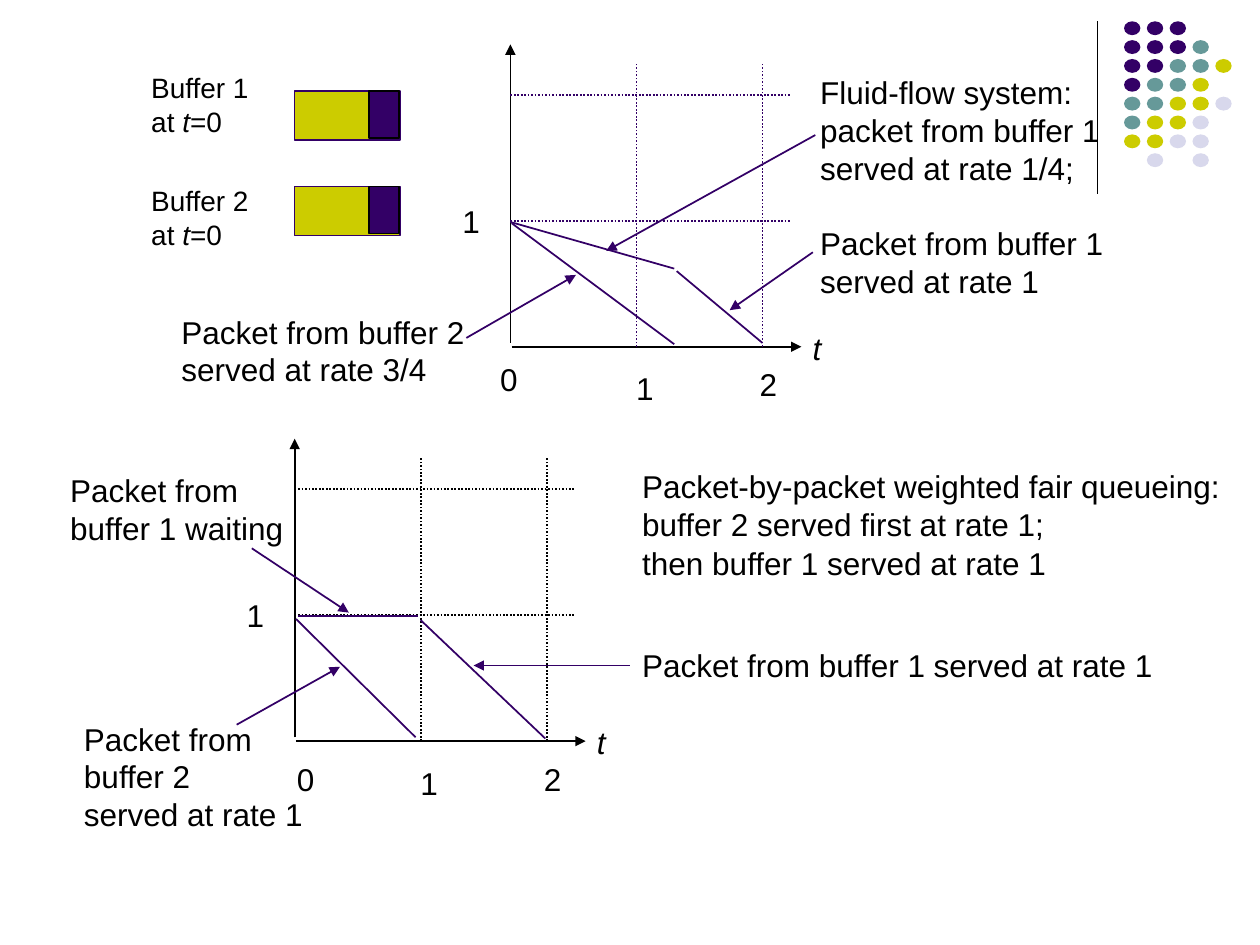
from dataclasses import dataclass

from pptx import Presentation
from pptx.dml.color import RGBColor
from pptx.enum.dml import MSO_LINE
from pptx.enum.shapes import MSO_CONNECTOR, MSO_SHAPE
from pptx.enum.text import MSO_ANCHOR, MSO_AUTO_SIZE
from pptx.oxml.ns import qn
from pptx.util import Cm, Pt
from lxml.etree import SubElement


@dataclass(frozen=True)
class Theme:
    font: str = "Arial"
    body: int = 18
    small: int = 16
    black: str = "000000"
    plum: str = "330066"
    teal: str = "669999"
    lime: str = "CCCC00"
    pale: str = "D8D8EC"


THEME = Theme()
UNIT = 2.54  # centimetres per step on both plot axes


def rgb(code):
    return RGBColor.from_string(code)


def line(slide, start, end, color=THEME.plum, width=1, dots=False, arrow=False):
    link = slide.shapes.add_connector(
        MSO_CONNECTOR.STRAIGHT, *(Cm(v) for v in (*start, *end)))
    link.line.color.rgb = rgb(color)
    link.line.width = Pt(width)
    if dots:
        link.line.dash_style = MSO_LINE.ROUND_DOT
    props = link._element.spPr
    if arrow:
        SubElement(props.find(qn("a:ln")), qn("a:tailEnd"), type="triangle")
    SubElement(props, qn("a:effectLst"))
    return link


def shape(slide, kind, box, fill, edge=None):
    item = slide.shapes.add_shape(kind, *(Cm(v) for v in box))
    item.shadow.inherit = False
    item.fill.solid()
    item.fill.fore_color.rgb = rgb(fill)
    if edge:
        item.line.color.rgb = rgb(edge)
        item.line.width = Pt(1)
    else:
        item.line.fill.background()


def text(slide, box, lines, size=THEME.body):
    """Add one paragraph per line; a run that is just "t" is set in italics."""
    item = slide.shapes.add_textbox(*(Cm(v) for v in box))
    frame = item.text_frame
    frame.word_wrap = False
    frame.auto_size = MSO_AUTO_SIZE.SHAPE_TO_FIT_TEXT
    for i, parts in enumerate(lines):
        para = frame.paragraphs[0] if i == 0 else frame.add_paragraph()
        para.font.name = THEME.font
        para.font.size = Pt(size)
        para.font.color.rgb = rgb(THEME.black)
        for part in [parts] if isinstance(parts, str) else parts:
            run = para.add_run()
            run.text = part
            if part == "t":
                run.font.italic = True
    return item


@dataclass
class Plot:
    """Places parts in axis units, y upwards, from an origin in centimetres."""
    slide: object
    x: float
    y: float

    def point(self, x, y):
        return self.x + UNIT * x, self.y - UNIT * y

    def line(self, start, end, **style):
        return line(self.slide, self.point(*start), self.point(*end), **style)

    def text(self, x, y, wide, high, *lines):
        box = (*self.point(x, y), UNIT * wide, UNIT * high)
        return text(self.slide, box, lines)

    def axes(self, grid, zero):
        """Draw axes, grid and marks, with the 0 mark's corner at zero."""
        self.line((0, 0.03), (0, 2.4), color=THEME.black, arrow=True)
        self.line((0.01, 0), (2.31, 0), color=THEME.black, arrow=True)
        for step in (1, 2):
            self.line((0, step), (2.22, step), color=grid, dots=True)
            self.line((step, 0), (step, 2.25), color=grid, dots=True)
        for mark, x, y in (("1", -0.48, 1.2), ("0", *zero),
                           ("1", 0.9, -0.13), ("2", 1.88, -0.1)):
            self.text(x, y, 0.34, 0.4, mark)
        self.text(2.3, 0.19, 0.27, 0.4, "t")


def corner(slide, x, y):
    """Draw the dotted ornament and the rule on its left."""
    line(slide, (x - 0.54, y), (x - 0.54, y + 3.48), THEME.black, 0.75)
    tones = {"P": THEME.plum, "T": THEME.teal, "Y": THEME.lime, "L": THEME.pale}
    rows = ("PPP", "PPPT", "PPTTY", "PTTY", "TTYYL", "TYYL", "YYLL", " L L")
    for r, row in enumerate(rows):
        for c, key in enumerate(row):
            if key in tones:
                box = (x + 0.46 * c, y + 0.38 * r, 0.33, 0.28)
                shape(slide, MSO_SHAPE.OVAL, box, tones[key])


def buffer(slide, x, y, name, drop):
    """Draw a named buffer whose bar starts drop below the label's top."""
    text(slide, (x, y, 2.7, 1.6), (name, ("at ", "t", "=0")), THEME.small)
    left, top = x + 3.14, y + drop
    shape(slide, MSO_SHAPE.RECTANGLE, (left, top, 2.13, 0.99),
          THEME.lime, THEME.plum)
    shape(slide, MSO_SHAPE.RECTANGLE, (left + 1.5, top, 0.61, 0.95),
          THEME.plum, THEME.black)


def fluid(slide, x, y):
    plot = Plot(slide, x, y)
    plot.axes(THEME.plum, (-0.18, -0.06))
    for start, end in (((0, 0.99), (1.3, 0.62)), ((1.32, 0.6), (2, 0.03)),
                       ((0.01, 0.98), (1.3, 0.02))):
        plot.line(start, end)
    for start, end in (((2.42, 1.68), (0.76, 0.76)),
                       ((2.4, 0.75), (1.74, 0.29)),
                       ((-0.35, 0.07), (0.52, 0.57))):
        plot.line(start, end, arrow=True)
    plot.text(2.36, 2.22, 2.52, 1, "Fluid-flow system:",
              "packet from buffer 1", "served at rate 1/4;")
    plot.text(2.36, 1.02, 2.52, 0.7, "Packet from buffer 1", "served at rate 1")
    plot.text(-2.71, 0.32, 2.52, 0.7,
              "Packet from buffer 2", "served at rate 3/4")


def packet(slide, x, y):
    plot = Plot(slide, x, y)
    plot.axes(THEME.black, (-0.08, -0.1))
    for start, end in (((0.01, 0.97), (0.96, 0.03)),
                       ((0.03, 0.99), (0.98, 0.99)), ((1, 0.96), (1.99, 0.02))):
        plot.line(start, end)
    for start, end in (((-0.46, 0.13), (0.36, 0.59)),
                       ((-0.34, 1.53), (0.43, 1.02))):
        plot.line(start, end, arrow=True)
    plot.text(-1.88, 2.19, 1.95, 0.7, "Packet from", "buffer 1 waiting")
    plot.text(-1.77, 0.22, 2, 1, "Packet from", "buffer 2", "served at rate 1")
    served = plot.text(2.66, 0.8, 4.3, 0.4,
                       "Packet from buffer 1 served at rate 1")
    plot.line((2.66, 0.6), (1.42, 0.6), arrow=True).begin_connect(served, 1)

    head = plot.text(2.66, 2.1, 4.95, 0.87,
                     "Packet-by-packet weighted fair queueing:",
                     "buffer 2 served first at rate 1;",
                     "then buffer 1 served at rate 1").text_frame
    head.word_wrap = True
    head.vertical_anchor = MSO_ANCHOR.MIDDLE
    for para in head.paragraphs:
        para.line_spacing = 0.5
        para.space_before = Pt(11.2)


def main():
    deck = Presentation()
    deck.slide_width, deck.slide_height = Cm(25.4), Cm(19.05)
    slide = deck.slides.add_slide(deck.slide_layouts[6])
    corner(slide, 22.66, 0.43)
    buffer(slide, 2.8, 1.3, "Buffer 1", 0.53)
    buffer(slide, 2.8, 3.58, "Buffer 2", 0.18)
    fluid(slide, 10.29, 6.99)
    packet(slide, 5.94, 14.94)
    deck.save("out.pptx")


if __name__ == "__main__":
    main()
